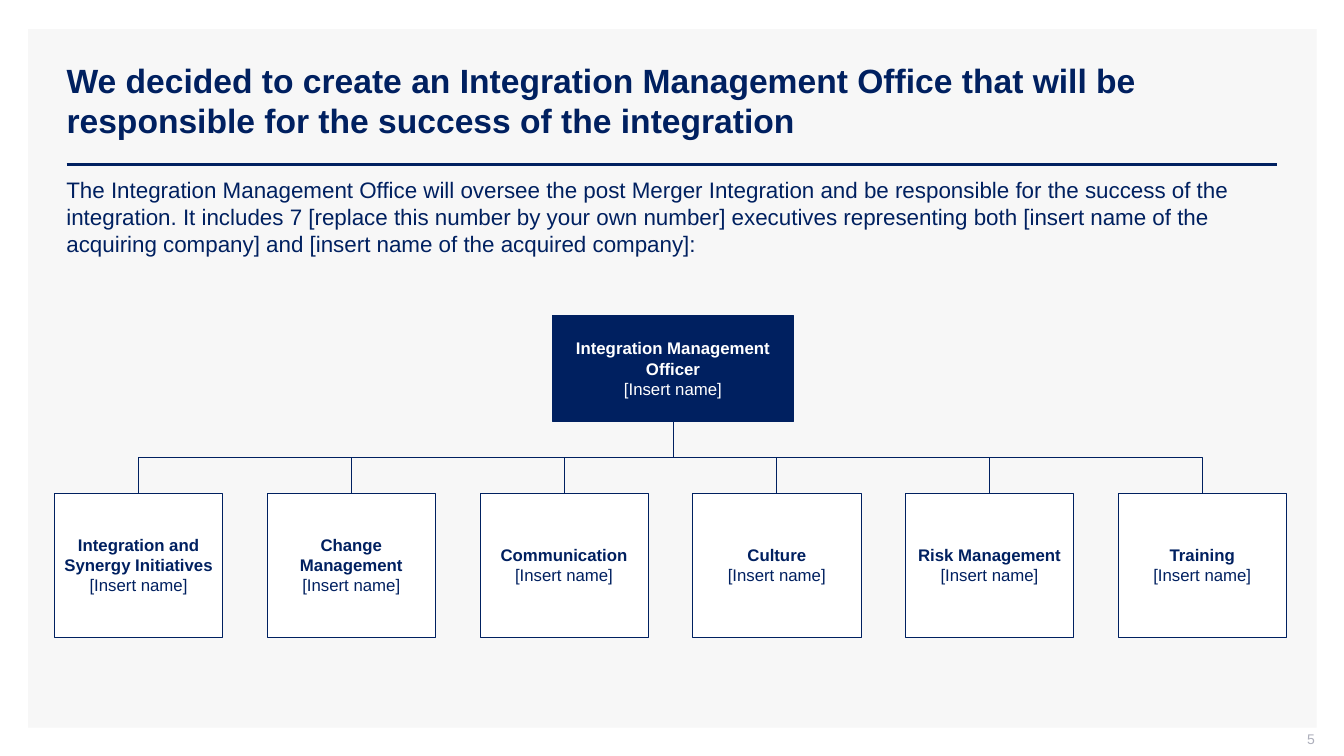
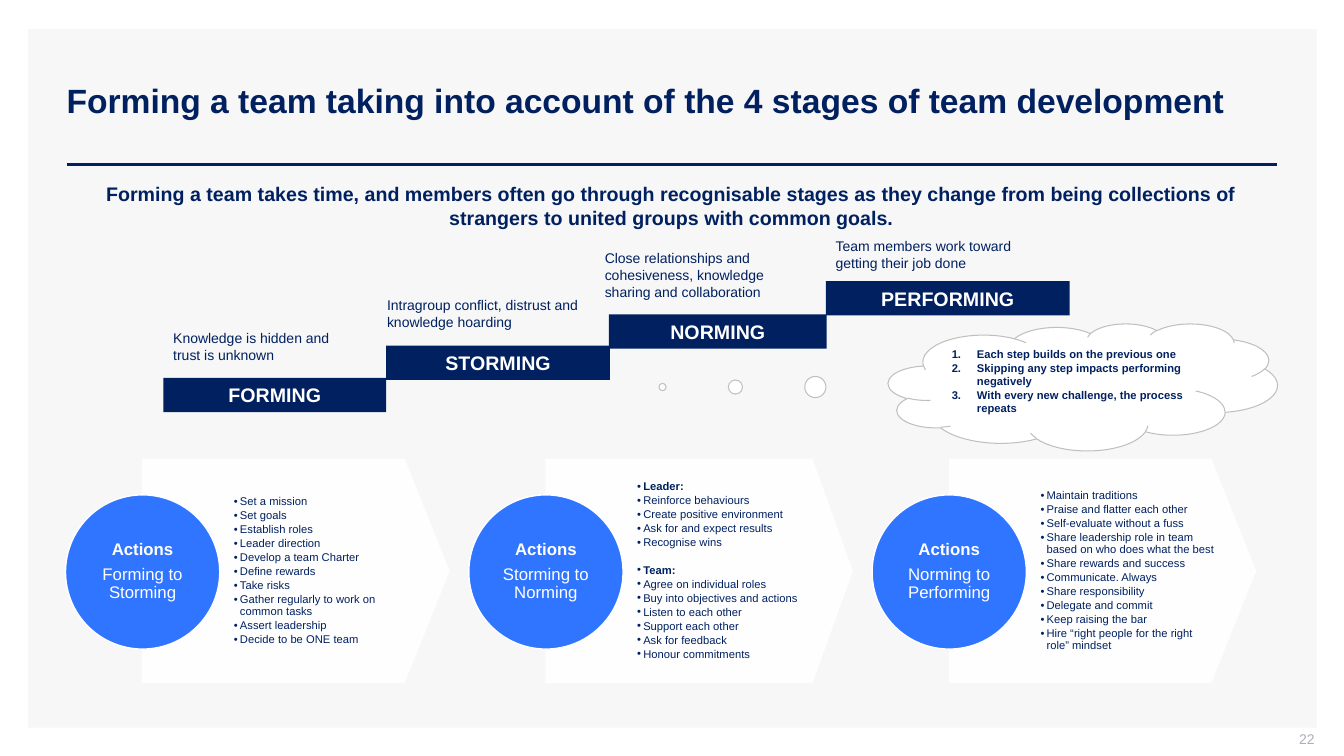
from dataclasses import dataclass

from lxml.etree import SubElement
from pptx import Presentation
from pptx.dml.color import RGBColor as Rgb
from pptx.enum.shapes import MSO_CONNECTOR as Link, MSO_SHAPE as Preset
from pptx.enum.text import MSO_ANCHOR as Anchor, MSO_AUTO_SIZE as AutoSize, PP_ALIGN as Align
from pptx.oxml.ns import qn
from pptx.util import Inches, Pt


@dataclass(frozen=True)
class Theme:
    font: str = "Arial"
    navy: str = "002060"
    blue: str = "3075FF"
    white: str = "FFFFFF"
    panel: str = "F7F7F7"
    outline: str = "BFBFBF"
    muted: str = "ADAFBB"
    title: int = 24
    intro: int = 16
    heading: int = 14
    label: int = 12
    caption: int = 10
    detail: int = 8


THEME = Theme()
TEXT_INSETS = (0.1, 0.05, 0.1, 0.05)

TEAM = [
    "Integration and Synergy Initiatives",
    "Change Management",
    "Communication",
    "Culture",
    "Risk Management",
    "Training",
]

STAGES = [
    ("FORMING", (1.62, 3.75, 2.21, 0.34),
     "Knowledge is hidden and trust is unknown", (1.62, 3.22, 2.04, 0.44)),
    ("STORMING", (3.83, 3.43, 2.22, 0.34),
     "Intragroup conflict, distrust and knowledge hoarding", (3.74, 2.89, 2.19, 0.44)),
    ("NORMING", (6.04, 3.12, 2.16, 0.34),
     "Close relationships and cohesiveness, knowledge sharing and collaboration",
     (5.9, 2.43, 2.19, 0.61)),
    ("PERFORMING", (8.19, 2.79, 2.42, 0.34),
     "Team members work toward getting their job done", (8.19, 2.31, 2.12, 0.44)),
]

LESSONS = [
    "Each step builds on the previous one",
    "Skipping any step impacts performing negatively",
    "With every new challenge, the process repeats",
]

ACTIONS = [
    ("Forming to Storming", 0.2, [
        "Set a mission",
        "Set goals",
        "Establish roles",
        "Leader direction",
        "Develop a team Charter",
        "Define rewards",
        "Take risks",
        "Gather regularly to work on common tasks",
        "Assert leadership",
        "Decide to be ONE team",
    ]),
    ("Storming to Norming", 0.18, [
        "Leader:",
        "Reinforce behaviours",
        "Create positive environment",
        "Ask for and expect results",
        "Recognise wins",
        "Team:",
        "Agree on individual roles",
        "Buy into objectives and actions",
        "Listen to each other",
        "Support each other",
        "Ask for feedback",
        "Honour commitments",
    ]),
    ("Norming to Performing", 0.2, [
        "Maintain traditions",
        "Praise and flatter each other",
        "Self-evaluate without a fuss",
        "Share leadership role in team based on who does what the best",
        "Share rewards and success",
        "Communicate. Always",
        "Share responsibility",
        "Delegate and commit",
        "Keep raising the bar",
        "Hire “right people for the right role” mindset",
    ]),
]


def inches(box):
    return [Inches(value) for value in box]


def color(value):
    return Rgb.from_string(value)


def write(shape, lines, size, ink=THEME.navy, bold=(), align=Align.LEFT,
          anchor=Anchor.TOP, insets=TEXT_INSETS):
    frame = shape.text_frame
    frame.word_wrap = True
    frame.auto_size = AutoSize.NONE
    frame.vertical_anchor = anchor
    (frame.margin_left, frame.margin_top,
     frame.margin_right, frame.margin_bottom) = inches(insets)
    frame.text = "\n".join(lines)
    for index, paragraph in enumerate(frame.paragraphs):
        paragraph.alignment = align
        for run in paragraph.runs:
            run.font.name = THEME.font
            run.font.size = Pt(size)
            run.font.bold = index in bold
            run.font.color.rgb = color(ink)
    return frame.paragraphs


def add_text(slide, box, lines, size, **style):
    return write(slide.shapes.add_textbox(*inches(box)), lines, size, **style)


def add_block(slide, preset, box, fill, line=None, weight=0.5):
    block = slide.shapes.add_shape(preset, *inches(box))
    block.shadow.inherit = False
    block.fill.solid()
    block.fill.fore_color.rgb = color(fill)
    if line:
        block.line.color.rgb = color(line)
        block.line.width = Pt(weight)
    else:
        block.line.fill.background()
    return block


def add_line(slide, kind, ends, weight):
    line = slide.shapes.add_connector(kind, *inches(ends))
    line.line.color.rgb = color(THEME.navy)
    line.line.width = Pt(weight)
    SubElement(line._element.spPr, qn("a:effectLst"))
    return line


def add_branch(slide, parent, child):
    branch = add_line(slide, Link.ELBOW, (0, 0, 1, 1), 0.5)
    branch.begin_connect(parent, 2)
    branch.end_connect(child, 0)
    start_x, end_x = (box.left + box.width // 2 for box in (parent, child))
    start_y, end_y = parent.top + parent.height, child.top
    drop, span = end_y - start_y, abs(end_x - start_x)
    branch.left = (start_x + end_x - drop) // 2
    branch.top = (start_y + end_y - span) // 2
    branch.width, branch.height = drop, span
    frame = branch._element.spPr.find(qn("a:xfrm"))
    to_right = end_x > start_x
    frame.set("rot", str((270 if to_right else 90) * 60000))
    frame.set("flipH", str(int(to_right)))
    frame.set("flipV", "0")


def add_marker(paragraph, indent, tag, **attributes):
    properties = paragraph._p.get_or_add_pPr()
    properties.set("marL", str(Inches(indent)))
    properties.set("indent", str(-Inches(indent)))
    if tag == "a:buChar":
        SubElement(properties, qn("a:buFont"), typeface=THEME.font)
    SubElement(properties, qn(tag), **attributes)


def tighten(paragraphs, after):
    for paragraph in paragraphs:
        paragraph.line_spacing = 0.9
        paragraph.space_after = Pt(after)


def decorate_layout(layout, slide):
    panel = add_block(slide, Preset.RECTANGLE, (0.28, 0.29, 12.78, 6.93), THEME.panel)
    rule = add_line(slide, Link.STRAIGHT, (0.66, 1.63, 12.67, 1.63), 2)
    for part in (panel, rule):
        layout.shapes._spTree.append(part._element)


def new_slide(deck, title, number):
    layout = deck.slide_layouts[5]
    slide = deck.slides.add_slide(layout)
    if len(deck.slides) == 1:
        decorate_layout(layout, slide)
    heading = slide.shapes.title
    heading.left, heading.top, heading.width, heading.height = inches((0.56, 0.4, 12.11, 1.19))
    write(heading, [title], THEME.title, bold=(0,), anchor=Anchor.MIDDLE)
    add_text(slide, (10.04, 7.25, 3, 0.21), [number], THEME.caption, ink=THEME.muted,
             align=Align.RIGHT, anchor=Anchor.MIDDLE, insets=(0.1, 0, 0, 0.05))
    return slide


def add_role(slide, box, role, fill, ink, side_inset):
    holder = add_block(slide, Preset.RECTANGLE, box, fill, THEME.navy)
    write(holder, [role, "[Insert name]"], THEME.label, ink=ink, bold=(0,),
          align=Align.CENTER, anchor=Anchor.MIDDLE,
          insets=(side_inset, 0.02, side_inset, 0.02))
    return holder


def add_stage(slide, name, step_box, caption, caption_box):
    step = add_block(slide, Preset.RECTANGLE, step_box, THEME.navy)
    write(step, [name], THEME.heading, ink=THEME.white, bold=(0,),
          align=Align.CENTER, anchor=Anchor.MIDDLE)
    add_text(slide, caption_box, [caption], THEME.caption)


def add_lessons(slide):
    cloud = add_block(slide, Preset.CLOUD_CALLOUT, (8.81, 3.21, 3.86, 1.26),
                      THEME.white, THEME.outline, 0.75)
    cloud.adjustments[0], cloud.adjustments[1] = -1.08, 0
    for lesson in write(cloud, LESSONS, THEME.detail, bold=range(len(LESSONS))):
        add_marker(lesson, 0.25, "a:buAutoNum", type="arabicPeriod")


def add_actions(slide, left, transition, point, actions):
    arrow = add_block(slide, Preset.PENTAGON, (left + 0.76, 4.55, 3.05, 2.23), THEME.white)
    arrow.adjustments[0] = point
    tint = arrow._element.spPr.find(qn("a:solidFill"))[0]
    SubElement(tint, qn("a:alpha"), val="90000")

    headings = [i for i, action in enumerate(actions) if action.endswith(":")]
    items = add_text(slide, (left + 1.65, 4.55, 1.78, 2.23), actions, THEME.detail,
                     bold=headings, anchor=Anchor.MIDDLE, insets=(0.02, 0.01, 0.01, 0.01))
    for item in items:
        add_marker(item, 0.06, "a:buChar", char="•")
    tighten(items, 1.4)
    for index in headings:
        if index:
            items[index - 1].space_after = Pt(11)

    circle = add_block(slide, Preset.OVAL, (left, 4.91, 1.53, 1.53),
                       THEME.blue, THEME.white, 1)
    tighten(write(circle, ["Actions", transition], THEME.label, ink=THEME.white, bold=(0,),
                  align=Align.CENTER, anchor=Anchor.MIDDLE, insets=(0.01,) * 4), 4.8)


def build_office(deck):
    slide = new_slide(deck, "We decided to create an Integration Management Office that will be "
                      "responsible for the success of the integration", "5")
    add_text(slide, (0.56, 1.7, 12.11, 0.91), [
        "The Integration Management Office will oversee the post Merger Integration and be "
        "responsible for the success of the integration. It includes 7 [replace this number by "
        "your own number] executives representing both [insert name of the acquiring company] "
        "and [insert name of the acquired company]:"], THEME.intro)
    officer = add_role(slide, (5.48, 3.13, 2.39, 1.05), "Integration Management Officer",
                       THEME.navy, THEME.white, 0.02)
    for index, role in enumerate(TEAM):
        member = add_role(slide, (0.54 + 2.11 * index, 4.89, 1.67, 1.43), role,
                          THEME.white, THEME.navy, 0.06)
        add_branch(slide, officer, member)


def build_stages(deck):
    slide = new_slide(
        deck, "Forming a team taking into account of the 4 stages of team development", "22")
    add_text(slide, (0.65, 1.76, 12.02, 0.57), [
        "Forming a team takes time, and members often go through recognisable stages as they "
        "change from being collections of strangers to united groups with common goals."],
        THEME.heading, bold=(0,), align=Align.CENTER)
    for stage in STAGES:
        add_stage(slide, *stage)
    add_lessons(slide)
    for index, group in enumerate(ACTIONS):
        add_actions(slide, 0.65 + 4 * index, *group)


def main():
    deck = Presentation()
    deck.slide_width, deck.slide_height = inches((13.33, 7.5))
    build_office(deck)
    build_stages(deck)
    deck.save("out.pptx")


if __name__ == "__main__":
    main()
